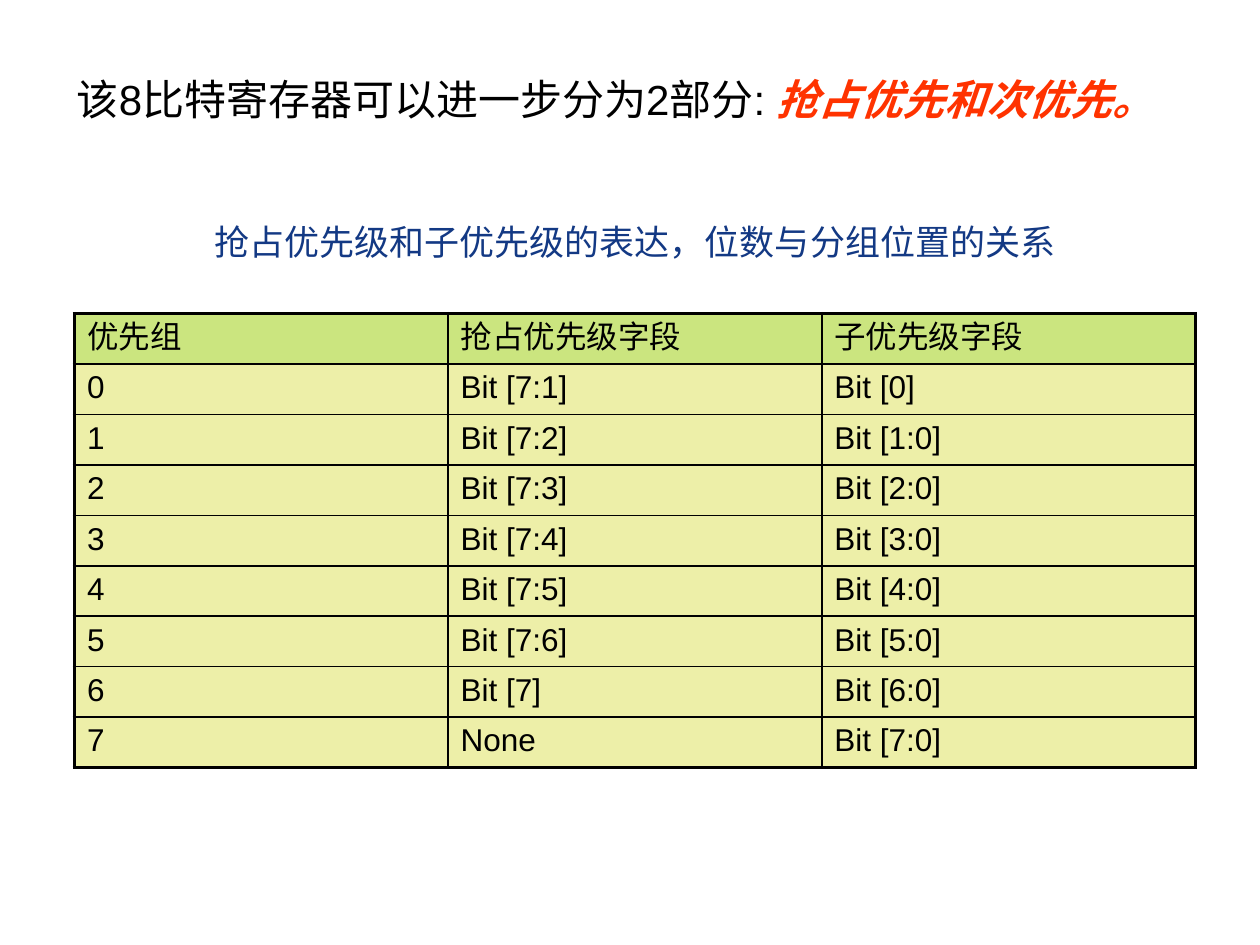
from lxml import etree
from pptx import Presentation
from pptx.dml.color import RGBColor
from pptx.enum.text import PP_ALIGN
from pptx.oxml.ns import qn
from pptx.util import Cm, Pt

CENTER = PP_ALIGN.CENTER
LEFT = PP_ALIGN.LEFT
FONT = "Arial"
BLACK, RED, NAVY = "000000", "FF3300", "133984"
HEADER_FILL, BODY_FILL = "99CC00", "DDE052"
THIN, THICK = 1, 2.25

ROWS = [
    ("优先组", "抢占优先级字段", "子优先级字段"),
    ("0", "Bit [7:1]", "Bit [0]"),
    ("1", "Bit [7:2]", "Bit [1:0]"),
    ("2", "Bit [7:3]", "Bit [2:0]"),
    ("3", "Bit [7:4]", "Bit [3:0]"),
    ("4", "Bit [7:5]", "Bit [4:0]"),
    ("5", "Bit [7:6]", "Bit [5:0]"),
    ("6", "Bit [7]", "Bit [6:0]"),
    ("7", "None", "Bit [7:0]"),
]


def color(value):
    return RGBColor.from_string(value)


def style(r, size, value, strong=False):
    r.font.name = FONT
    r.font.size = Pt(size)
    r.font.color.rgb = color(value)
    r.font.bold = r.font.italic = strong
    etree.SubElement(r.font._element, qn("a:ea"), typeface=FONT)


def add_text(slide, box, runs, size, align=LEFT):
    """Place one paragraph of (text, colour, strong) runs in the box."""
    tf = slide.shapes.add_textbox(*map(Cm, box)).text_frame
    tf.word_wrap = True
    p = tf.paragraphs[0]
    p.alignment = align
    for text, value, strong in runs:
        r = p.add_run()
        r.text = text
        style(r, size, value, strong)


def set_border(tcPr, side, width):
    ln = etree.SubElement(tcPr, qn("a:" + side), w=str(Pt(width)))
    fill = etree.SubElement(ln, qn("a:solidFill"))
    etree.SubElement(fill, qn("a:srgbClr"), val=BLACK)


def format_cell(cell, text, fill, widths):
    cell.text = text
    style(cell.text_frame.paragraphs[0].runs[0], 18, BLACK)
    # Borders come before the fill in the cell properties
    tcPr = cell._tc.get_or_add_tcPr()
    for side, width in widths.items():
        set_border(tcPr, side, width)
    cell.fill.solid()
    cell.fill.fore_color.rgb = color(fill)
    clr = tcPr.find(qn("a:solidFill")).find(qn("a:srgbClr"))
    etree.SubElement(clr, qn("a:alpha"), val="50000")


def add_priority_table(slide, box):
    last_row, last_col = len(ROWS) - 1, len(ROWS[0]) - 1
    table = slide.shapes.add_table(last_row + 1, last_col + 1, *map(Cm, box)).table
    table.first_row = table.horz_banding = False
    for i, row in enumerate(ROWS):
        for j, text in enumerate(row):
            # Thick outer frame, thin inner grid
            widths = {
                "lnL": THICK if j == 0 else THIN,
                "lnR": THICK if j == last_col else THIN,
                "lnT": THICK if i == 0 else THIN,
                "lnB": THICK if i == last_row else THIN,
            }
            fill = HEADER_FILL if i == 0 else BODY_FILL
            format_cell(table.cell(i, j), text, fill, widths)


prs = Presentation()
prs.slide_width, prs.slide_height = Cm(25.4), Cm(19.05)
slide = prs.slides.add_slide(prs.slide_layouts[6])

# Statement
add_text(slide, (1.3, 1.35, 22.86, 1.37),
         [("该8比特寄存器可以进一步分为2部分: ", BLACK, False),
          ("抢占优先和次优先。", RED, True)], 24)

# Table caption
add_text(slide, (1.5, 4.32, 22.6, 1.12),
         [("抢占优先级和子优先级的表达，位数与分组位置的关系", NAVY, False)], 20, CENTER)

# Priority groups
add_priority_table(slide, (1.5, 6.32, 22.6, 9.14))

prs.save("out.pptx")
